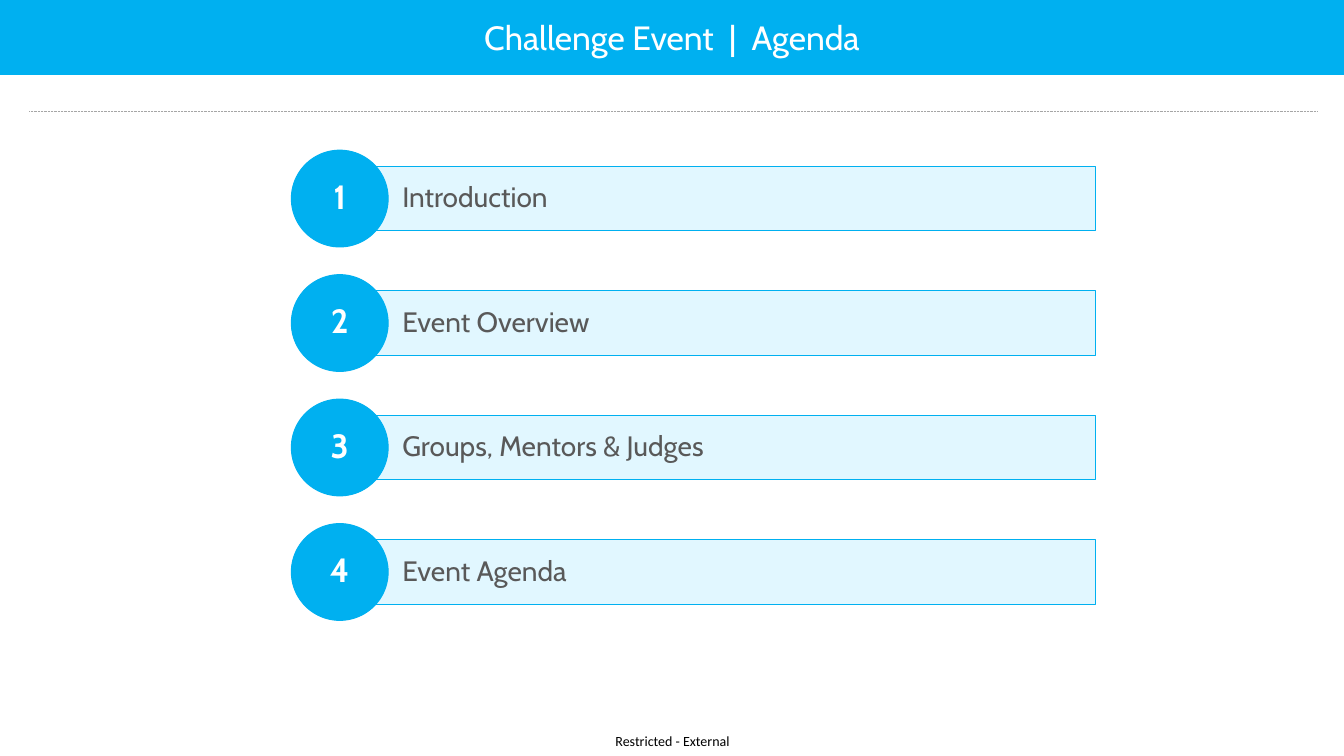
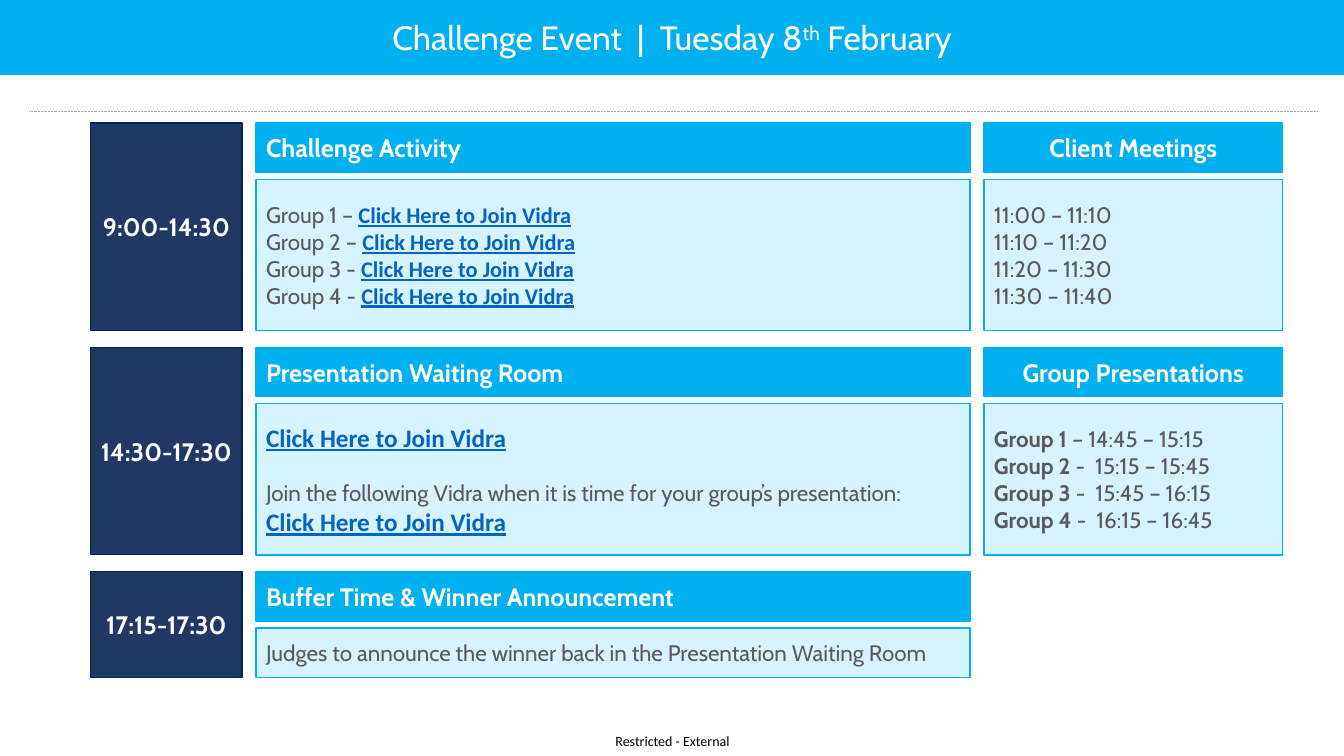
from lxml import etree
from pptx import Presentation
from pptx import util as u
from pptx.dml.color import RGBColor
from pptx.enum import dml, shapes, text
from pptx.oxml.ns import qn

COLORS = {
    "blue": "00B0F0", "navy": "203864", "navy_line": "002060",
    "pale": "E1F7FF", "ice": "D5F4FF", "gray": "595959", "rule": "A6A6A6",
    "link": "0563C1", "white": "FFFFFF", "black": "000000",
}
CENTER, LEFT = text.PP_ALIGN.CENTER, text.PP_ALIGN.LEFT
RECT, OVAL = shapes.MSO_SHAPE.RECTANGLE, shapes.MSO_SHAPE.OVAL
LINK = dict(font="Calibri", color="link", bold=True, underline=True)
BIG_LINK = dict(LINK, size=18)
HEAD = dict(fill="blue", color="white", size=18, bold=True)
BODY = dict(fill="ice", color="gray", size=16)
TIME = dict(HEAD, fill="navy", line="navy_line", align=CENTER)
JOIN = "Click Here to Join Vidra"


def rgb(name):
    return RGBColor.from_string(COLORS[name])


def write(tf, paras, align=LEFT, margins=(0.1, 0.05), spacing=None, before=0, **fmt):
    """Fill a text frame; a paragraph is a string or a list of (text, format) runs."""
    tf.word_wrap = True
    tf.auto_size = text.MSO_AUTO_SIZE.NONE
    tf.vertical_anchor = text.MSO_ANCHOR.MIDDLE
    tf.margin_left = tf.margin_right = u.Inches(margins[0])
    tf.margin_top = tf.margin_bottom = u.Inches(margins[1])
    for i, runs in enumerate(paras):
        p = tf.add_paragraph() if i else tf.paragraphs[0]
        p.alignment, p.line_spacing, p.space_before = align, spacing, u.Pt(before)
        for content, extra in [(runs, {})] if isinstance(runs, str) else runs:
            style = {"font": "Cabin", "bold": False, "underline": False, **fmt, **extra}
            r = p.add_run()
            r.text = content
            r.font.name, r.font.size = style["font"], u.Pt(style["size"])
            r.font.bold, r.font.underline = style["bold"], style["underline"]
            r.font.color.rgb = rgb(style["color"])
            if "baseline" in style:
                r._r.get_or_add_rPr().set("baseline", str(style["baseline"]))


class Deck:
    """Holds the presentation, its shared style and the current slide."""

    def __init__(self):
        self.prs = Presentation()
        self.prs.slide_width, self.prs.slide_height = u.Inches(13.33), u.Inches(7.5)
        self.s = None

    def paint(self, sp, fill, line, width):
        sp.fill.solid()
        sp.fill.fore_color.rgb = rgb(fill)
        sp.line.color.rgb = rgb(line)
        sp.line.width = u.Pt(width)

    def slide(self, title):
        self.s = self.prs.slides.add_slide(self.prs.slide_layouts[5])
        sp = self.s.shapes.title
        sp.left, sp.top, sp.width, sp.height = map(u.Inches, (0, 0, 13.33, 0.74))
        self.paint(sp, "blue", "blue", 1)
        write(sp.text_frame, [title], align=CENTER, size=24, color="white")
        self.rule(0.29, 13.07, 1.1)
        footer = self.s.shapes.add_textbox(*map(u.Inches, (5.94, 7.21, 1.46, 0.29)))
        write(footer.text_frame, ["Restricted - External"], align=CENTER,
              margins=(0, 0), size=10, color="black", font="Calibri")

    def rule(self, x1, x2, y):
        c = self.s.shapes.add_connector(
            shapes.MSO_CONNECTOR.STRAIGHT, *map(u.Inches, (x1, y, x2, y)))
        c.line.color.rgb = rgb("rule")
        c.line.width = u.Pt(0.5)
        c.line.dash_style = dml.MSO_LINE.ROUND_DOT
        etree.SubElement(c._element.spPr, qn("a:effectLst"))

    def box(self, x, y, w, h, paras, fill, line="blue", width=1, kind=RECT, **fmt):
        sp = self.s.shapes.add_shape(kind, *map(u.Inches, (x, y, w, h)))
        sp.shadow.inherit = False
        self.paint(sp, fill, line, width)
        write(sp.text_frame, paras, **fmt)
        return sp

    def agenda_item(self, y, number, label):
        shared = dict(width=0.75, spacing=0.9, before=6)
        self.box(3.6, y + 0.16, 7.27, 0.64, [label], "pale", size=20,
                 color="gray", margins=(0.39, 0.1), **shared)
        self.box(2.89, y, 0.96, 0.96, [str(number)], "blue", kind=OVAL, size=24,
                 color="white", bold=True, align=CENTER, margins=(0.1, 0.1), **shared)

    def session(self, y, h, time, head, body, side=None):
        self.box(0.9, y, 1.5, 0.56 + h, [time], **TIME)
        self.box(2.54, y, 7.08, 0.49, [head], **HEAD)
        sp = self.box(2.54, y + 0.56, 7.08, h, body, **BODY)
        if side:
            side_head, side_body = side
            self.box(9.76, y, 2.96, 0.49, [side_head], align=CENTER, **HEAD)
            self.box(9.76, y + 0.56, 2.96, h, side_body, **BODY)
        return sp


deck = Deck()

deck.slide("Challenge Event  |  Agenda")
topics = ["Introduction", "Event Overview", "Groups, Mentors & Judges", "Event Agenda"]
for i, topic in enumerate(topics):
    deck.agenda_item(1.49 + 1.235 * i, i + 1, topic)

deck.slide([("Challenge Event  |  Tuesday 8", {}), ("th", {"baseline": 30000}),
            (" February", {})])
first, second, third = (1.22 + 2.225 * i for i in range(3))
group_links = [[(f"Group {n} {dash} ", {}), (JOIN, LINK)]
               for n, dash in enumerate("––--", 1)]
meetings = [f"11:{m}0 – 11:{m + 1}0" for m in range(4)]
deck.session(first, 1.5, "9:00-14:30", "Challenge Activity", group_links,
             ("Client Meetings", meetings))

slots = ["– 14:45 – 15:15", "-  15:15 – 15:45", "-  15:45 – 16:15", "-  16:15 – 16:45"]
presentations = [[(f"Group {n} ", {"bold": True}), (slot, {})]
                 for n, slot in enumerate(slots, 1)]
waiting = deck.session(
    second, 1.5, "14:30-17:30", "Presentation Waiting Room",
    [[(JOIN, BIG_LINK)],
     "Join the following Vidra when it is time for your group’s presentation:",
     [(JOIN, BIG_LINK)]],
    ("Group Presentations", presentations))
waiting.text_frame.paragraphs[1].space_before = u.Pt(19.5)

deck.session(third, 0.49, "17:15-17:30", "Buffer Time & Winner Announcement",
             ["Judges to announce the winner back in the Presentation Waiting Room"])

deck.prs.save("out.pptx")
